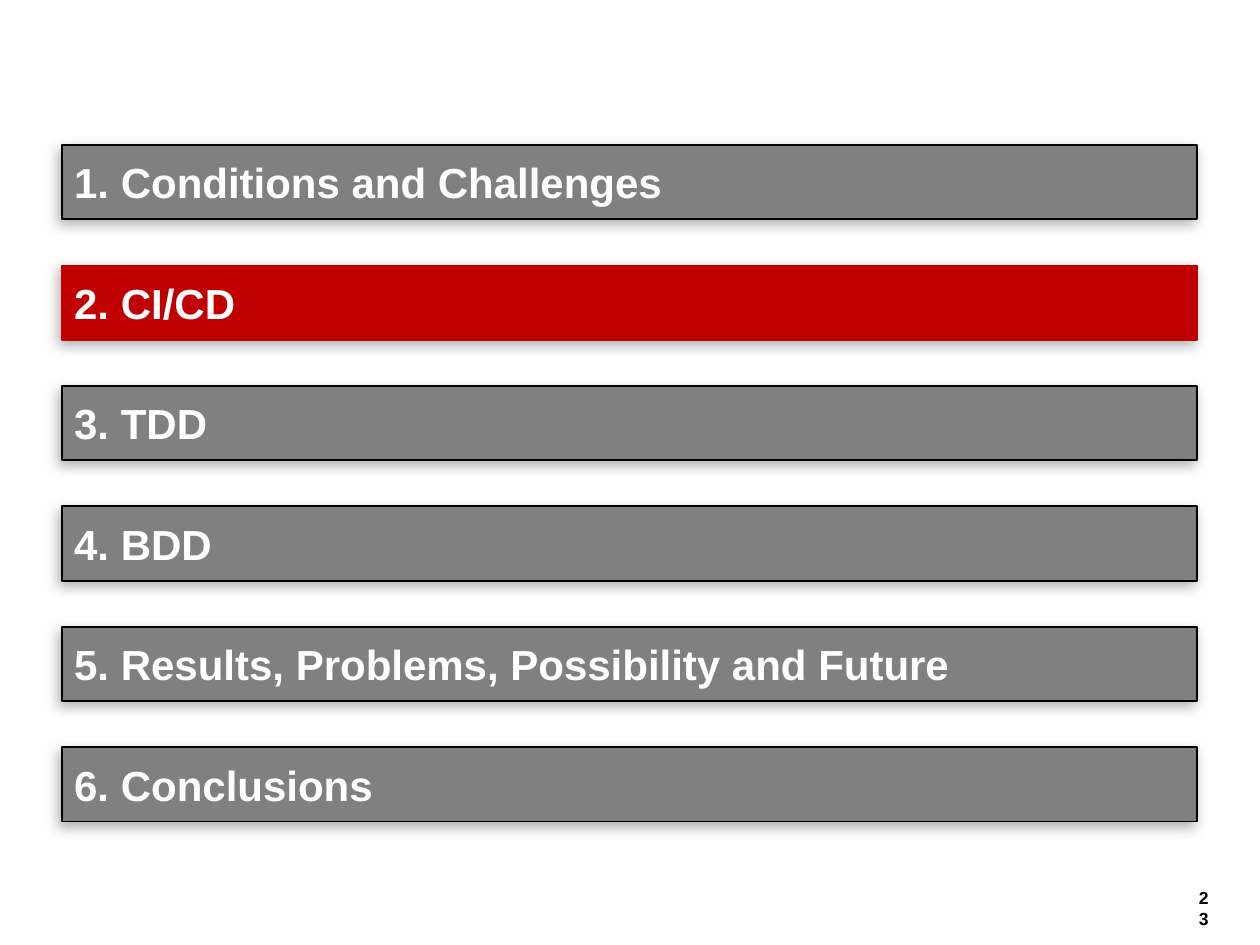
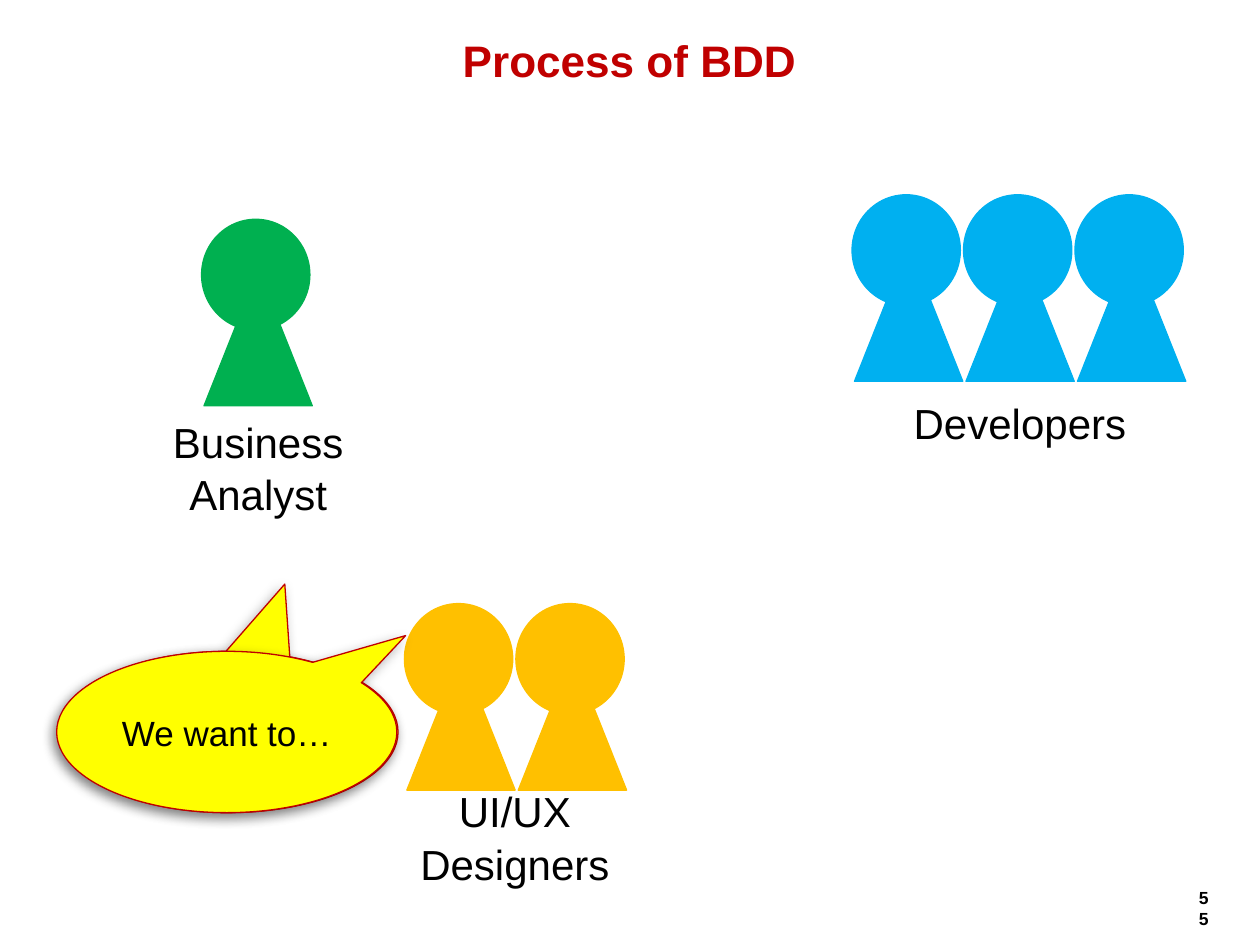
from dataclasses import dataclass

from lxml.etree import SubElement
from pptx import Presentation
from pptx.dml.color import RGBColor
from pptx.enum.shapes import MSO_SHAPE
from pptx.enum.text import MSO_ANCHOR, PP_ALIGN
from pptx.oxml.ns import qn
from pptx.util import Pt


@dataclass(frozen=True)
class Theme:
    font: str = "Arial"
    black: str = "000000"
    white: str = "FFFFFF"
    grey: str = "808080"
    red: str = "C00000"
    yellow: str = "FFFF00"
    callout_edge: str = "BF0000"
    analyst: str = "00B050"
    designer: str = "FFC000"
    developer: str = "00B0F0"
    title_size: float = 25.2
    label_size: float = 24
    speech_size: float = 20
    number_size: float = 10


THEME = Theme()

CHAPTERS = [
    "1. Conditions and Challenges",
    "2. CI/CD",
    "3. TDD",
    "4. BDD",
    "5. Results, Problems, Possibility and Future",
    "6. Conclusions",
]

# Person figure: head and body sizes, body offset, distance between people
HEAD = (61.9, 63.4)
BODY = (61.9, 77.8)
BODY_OFFSET = (1.4, 28.8)
PERSON_PITCH = 63.7


def points(*lengths):
    return [Pt(length) for length in lengths]


def write(shape, text, size, color, bold=False, align=PP_ALIGN.CENTER,
          anchor=MSO_ANCHOR.MIDDLE, wrap=True):
    frame = shape.text_frame
    frame.text = text
    frame.word_wrap = wrap
    frame.vertical_anchor = anchor
    for index, paragraph in enumerate(frame.paragraphs):
        paragraph.alignment = align
        if index:
            paragraph.space_before = Pt(1)
        for run in paragraph.runs:
            run.font.name = THEME.font
            run.font.size = Pt(size)
            run.font.bold = bold
            run.font.color.rgb = RGBColor.from_string(color)


def add_text(shapes, box, text, size, color, **style):
    write(shapes.add_textbox(*points(*box)), text, size, color, **style)


def add_filled(shapes, preset, box, fill, edge, width=0.75):
    shape = shapes.add_shape(preset, *points(*box))
    shape.shadow.inherit = False
    shape.fill.solid()
    shape.fill.fore_color.rgb = RGBColor.from_string(fill)
    shape.line.color.rgb = RGBColor.from_string(edge)
    shape.line.width = Pt(width)
    return shape


def cast_shadow(shape):
    effects = shape.element.spPr.find(qn("a:effectLst"))
    shadow = SubElement(effects, qn("a:outerShdw"), blurRad=str(Pt(7)),
                        dist=str(Pt(3)), dir="8100000", algn="tr",
                        rotWithShape="0")
    color = SubElement(shadow, qn("a:srgbClr"), val=THEME.black)
    SubElement(color, qn("a:alpha"), val="30000")


def add_numbered_slide(deck, number):
    slide = deck.slides.add_slide(deck.slide_layouts[6])
    add_text(slide.shapes, (677.5, 503.3, 20.2, 19.4), str(number),
             THEME.number_size, THEME.black, bold=True,
             align=PP_ALIGN.RIGHT, anchor=MSO_ANCHOR.TOP)
    return slide


def add_title(slide, text):
    add_text(slide.shapes, (28.1, 20.2, 663.1, 28.1), text,
             THEME.title_size, THEME.red, bold=True)


def add_chapter_bar(slide, row, chapter, current):
    fill, edge = (THEME.red, THEME.red) if current else (THEME.grey, THEME.black)
    bar = add_filled(slide.shapes, MSO_SHAPE.RECTANGLE,
                     (35.3, 82.8 + row * 68.84, 648.7, 42.5), fill, edge, 1)
    cast_shadow(bar)
    write(bar, chapter, THEME.label_size, THEME.white, bold=True,
          align=PP_ALIGN.LEFT)


def add_team(slide, left, top, people, color, label, label_box):
    team = slide.shapes.add_group_shape().shapes
    for person in range(people):
        x = left + person * PERSON_PITCH
        body_place = (x + BODY_OFFSET[0], top + BODY_OFFSET[1])
        add_filled(team, MSO_SHAPE.ISOSCELES_TRIANGLE, body_place + BODY,
                   color, color)
        add_filled(team, MSO_SHAPE.OVAL, (x, top) + HEAD, color, color)
    add_text(team, label_box, label, THEME.label_size, THEME.black)


def add_speech(slide, left, tip):
    speech = add_filled(slide.shapes, MSO_SHAPE.OVAL_CALLOUT,
                        (left, 372.2, 194.4, 92.2),
                        THEME.yellow, THEME.callout_edge)
    speech.adjustments[0], speech.adjustments[1] = tip
    cast_shadow(speech)
    write(speech, "We want to…", THEME.speech_size, THEME.black, wrap=False)


def build_agenda(deck):
    slide = add_numbered_slide(deck, 23)
    for row, chapter in enumerate(CHAPTERS):
        add_chapter_bar(slide, row, chapter, current=row == 1)


def build_process(deck):
    slide = add_numbered_slide(deck, 55)
    # Speech pointing to the analyst lies behind everything else
    add_speech(slide, 33.1, (0.167, -0.917))
    add_title(slide, "Process of BDD")

    # Teams
    add_team(slide, 115.2, 125.3, 1, THEME.analyst, "Business\nAnalyst",
             (87.8, 243.4, 119.5, 48.2))
    add_team(slide, 231.1, 344.9, 2, THEME.designer, "UI/UX\nDesigners",
             (218.2, 454.3, 151.9, 48.2))
    add_team(slide, 486.9, 111.3, 3, THEME.developer, "Developers",
             (511.9, 217.4, 141.8, 48.2))

    # Speech pointing to the designers
    add_speech(slide, 32.4, (0.526, -0.598))


def main():
    deck = Presentation()
    deck.slide_width, deck.slide_height = points(720, 540)
    build_agenda(deck)
    build_process(deck)
    deck.save("out.pptx")


if __name__ == "__main__":
    main()
